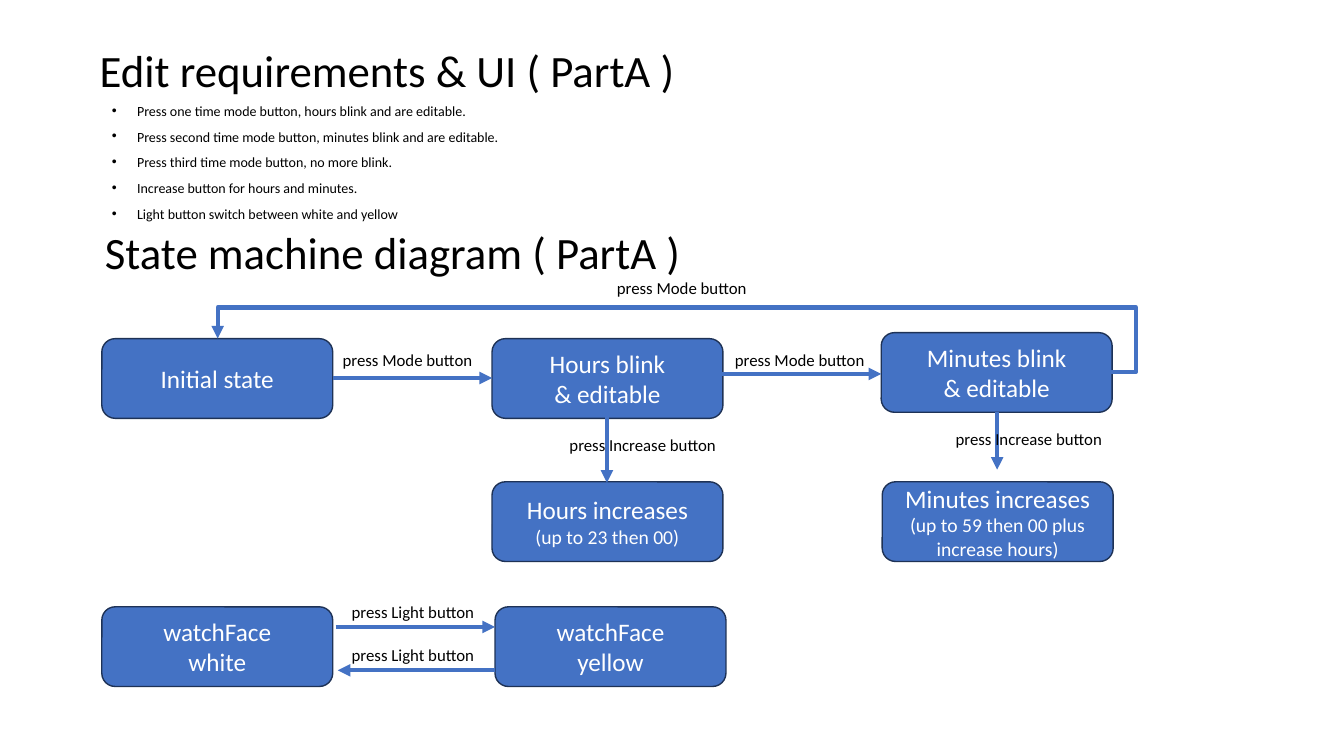
from lxml import etree
from pptx import Presentation
from pptx.dml.color import RGBColor
from pptx.enum import shapes, text
from pptx.oxml.ns import qn
from pptx.util import Inches, Pt

THEME = {
    "font": "Calibri", "ink": "000000", "paper": "FFFFFF", "blue": "4472C4", "outline": "1E3256",
    "heading": 32, "bullet": 10, "state": 18, "detail": 14, "label": 12,
    "arrow": 3, "border": 1,
}
DIAGRAM_TITLE = ("State machine diagram ( PartA )", 0.94, 1.8)
REQUIREMENTS_TITLE = ("Edit requirements & UI ( PartA )", 0.89, 0)
REQUIREMENTS = [
    "Press one time mode button, hours blink and are editable.",
    "Press second time mode button, minutes blink and are editable.",
    "Press third time mode button, no more blink.",
    "Increase button for hours and minutes.",
    "Light button switch between white and yellow",
]
STATES = [
    (1.01, 3.36, [("Initial state", "state")]),
    (4.88, 3.36, [("Hours blink", "state"), ("& editable", "state")]),
    (8.74, 3.3, [("Minutes blink", "state"), ("& editable", "state")]),
    (4.88, 4.78, [("Hours increases", "state"), ("(up to 23 then 00)", "detail")]),
    (8.75, 4.78, [("Minutes increases", "state"), ("(up to 59 then 00 plus increase hours)", "detail")]),
    (1.01, 6.02, [("watchFace", "state"), ("white", "state")]),
    (4.91, 6.02, [("watchFace", "state"), ("yellow", "state")]),
]
ARROWS = [
    (3.3, 3.75, 4.88, 3.75),
    (7.16, 3.71, 8.74, 3.71),
    (6.02, 4.14, 6.02, 4.79),
    (9.89, 4.09, 9.89, 4.66),
    (3.33, 6.22, 4.91, 6.22),
    (4.91, 6.65, 3.35, 6.65),
]
RETURN_ARROW = (11.02, 3.69, 2.16, 3.36)
RETURN_BENDS = (11.27, 3.05)
LABELS = [
    ("press Mode button", 1.54, [(3.3, 3.42), (7.19, 3.42), (6.02, 2.71)]),
    ("press Increase button", 1.77, [(5.55, 4.26), (9.38, 4.2)]),
    ("press Light button", 1.54, [(3.39, 5.92), (3.39, 6.35)]),
]
HEADING_SIZE = (11.5, 1.45)
BODY_BOX = (1.01, 1.01, 11.5, 1.28)
STATE_SIZE = (2.29, 0.79)
LABEL_HEIGHT = 0.3


def color(name):
    return RGBColor.from_string(THEME[name])


def apply(target, values):
    for name, value in values.items():
        setattr(target, name, value)


def place(shape, box):
    apply(shape, dict(zip(("left", "top", "width", "height"), map(Inches, box))))


def write(frame, lines, ink="ink", bullets=False, **paragraph_format):
    for index, (line, size) in enumerate(lines):
        paragraph = frame.paragraphs[0] if index == 0 else frame.add_paragraph()
        paragraph.text = line
        apply(paragraph, paragraph_format)
        if index == 0:
            paragraph.space_before = Pt(0)
        if bullets:
            properties = paragraph._p.get_or_add_pPr()
            properties.set("marL", str(Inches(0.25)))
            properties.set("indent", str(-Inches(0.25)))
            etree.SubElement(properties, qn("a:buFont"), typeface="Arial")
            etree.SubElement(properties, qn("a:buChar"), char="•")
        apply(paragraph.font, {"name": THEME["font"], "size": Pt(THEME[size])})
        paragraph.font.color.rgb = color(ink)


def add_heading(shape, heading):
    line, left, top = heading
    place(shape, (left, top, *HEADING_SIZE))
    apply(shape.text_frame, {"word_wrap": True, "auto_size": text.MSO_AUTO_SIZE.NONE,
                             "vertical_anchor": text.MSO_ANCHOR.MIDDLE})
    write(shape.text_frame, [(line, "heading")], alignment=text.PP_ALIGN.LEFT, line_spacing=0.9)


def add_state(slide, left, top, lines):
    shape = slide.shapes.add_shape(shapes.MSO_SHAPE.ROUNDED_RECTANGLE,
                                   *map(Inches, (left, top, *STATE_SIZE)))
    shape.shadow.inherit = False
    shape.fill.solid()
    shape.fill.fore_color.rgb = color("blue")
    shape.line.color.rgb = color("outline")
    shape.line.width = Pt(THEME["border"])
    apply(shape.text_frame, {"word_wrap": True, "vertical_anchor": text.MSO_ANCHOR.MIDDLE})
    write(shape.text_frame, lines, "paper", alignment=text.PP_ALIGN.CENTER)


def add_arrow(slide, ends, kind=shapes.MSO_CONNECTOR.STRAIGHT):
    connector = slide.shapes.add_connector(kind, *map(Inches, ends))
    connector.line.color.rgb = color("blue")
    connector.line.width = Pt(THEME["arrow"])
    etree.SubElement(connector.line._get_or_add_ln(), qn("a:tailEnd"), type="triangle")
    etree.SubElement(connector._element.spPr, qn("a:effectLst"))
    return connector


def add_return_arrow(slide):
    connector = add_arrow(slide, RETURN_ARROW, shapes.MSO_CONNECTOR.ELBOW)
    start_x, start_y, end_x, end_y = RETURN_ARROW
    bend_x, bend_y = RETURN_BENDS
    ratios = ((bend_x - start_x) / (end_x - start_x), (bend_y - start_y) / (end_y - start_y))
    geometry = connector._element.spPr.find(qn("a:prstGeom"))
    geometry.set("prst", "bentConnector4")
    adjustments = geometry.find(qn("a:avLst"))
    for number, ratio in enumerate(ratios, 1):
        etree.SubElement(adjustments, qn("a:gd"), name=f"adj{number}",
                         fmla=f"val {round(ratio * 100000)}")


def add_label(slide, line, box):
    label = slide.shapes.add_textbox(*map(Inches, box))
    apply(label.text_frame, {"word_wrap": True, "auto_size": text.MSO_AUTO_SIZE.SHAPE_TO_FIT_TEXT})
    write(label.text_frame, [(line, "label")])


def main():
    presentation = Presentation()
    apply(presentation, {"slide_width": Inches(13.33), "slide_height": Inches(7.5)})
    slide = presentation.slides.add_slide(presentation.slide_layouts[1])
    add_heading(slide.shapes.title, DIAGRAM_TITLE)
    add_heading(slide.shapes.add_textbox(0, 0, 0, 0), REQUIREMENTS_TITLE)

    body = slide.placeholders[1]
    place(body, BODY_BOX)
    apply(body.text_frame, {"auto_size": text.MSO_AUTO_SIZE.NONE, "vertical_anchor": text.MSO_ANCHOR.TOP})
    write(body.text_frame, [(line, "bullet") for line in REQUIREMENTS], bullets=True,
          line_spacing=0.7, space_before=Pt(10))

    for state in STATES:
        add_state(slide, *state)
    for ends in ARROWS:
        add_arrow(slide, ends)
    add_return_arrow(slide)
    for line, width, corners in LABELS:
        for left, top in corners:
            add_label(slide, line, (left, top, width, LABEL_HEIGHT))
    presentation.save("out.pptx")


if __name__ == "__main__":
    main()
